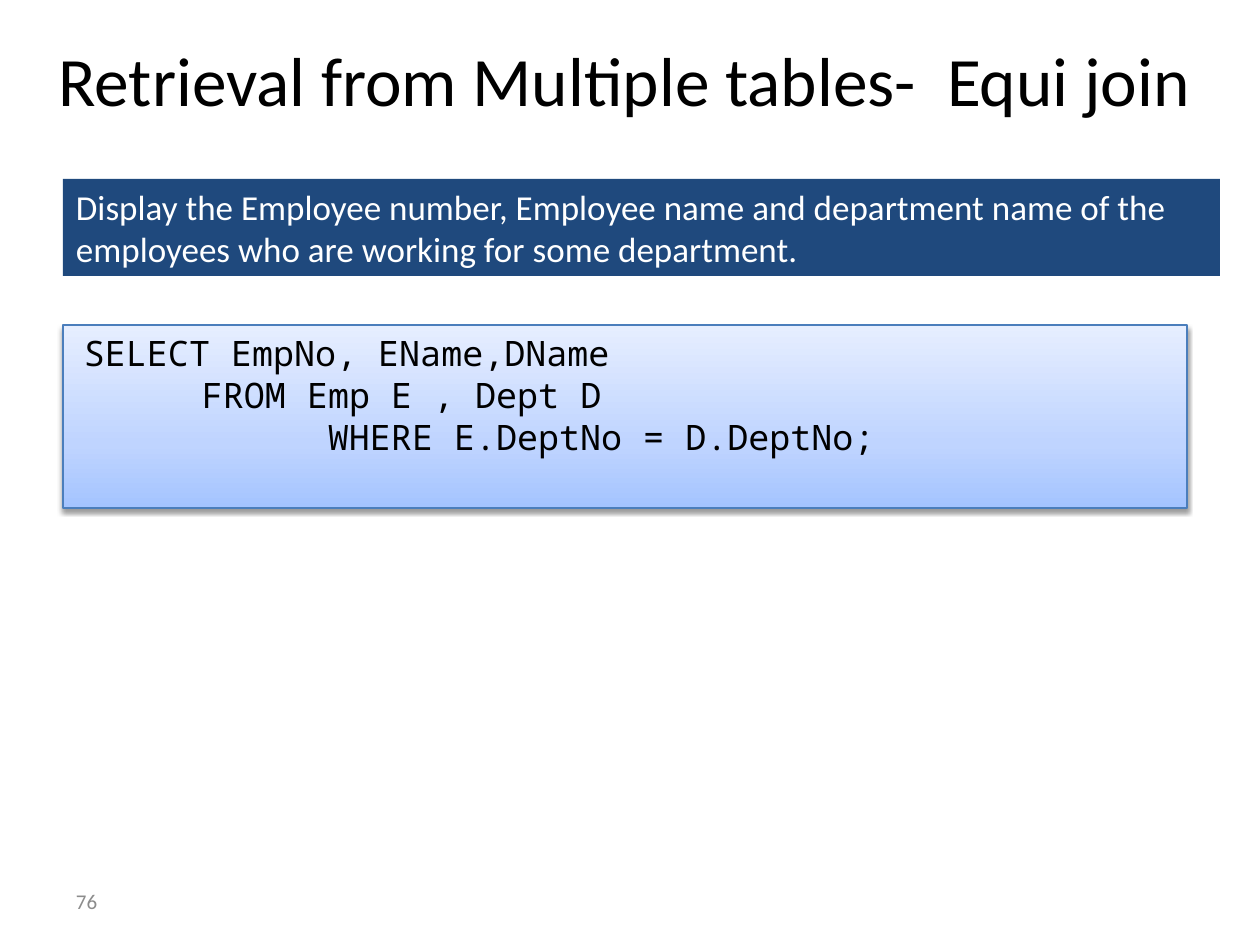
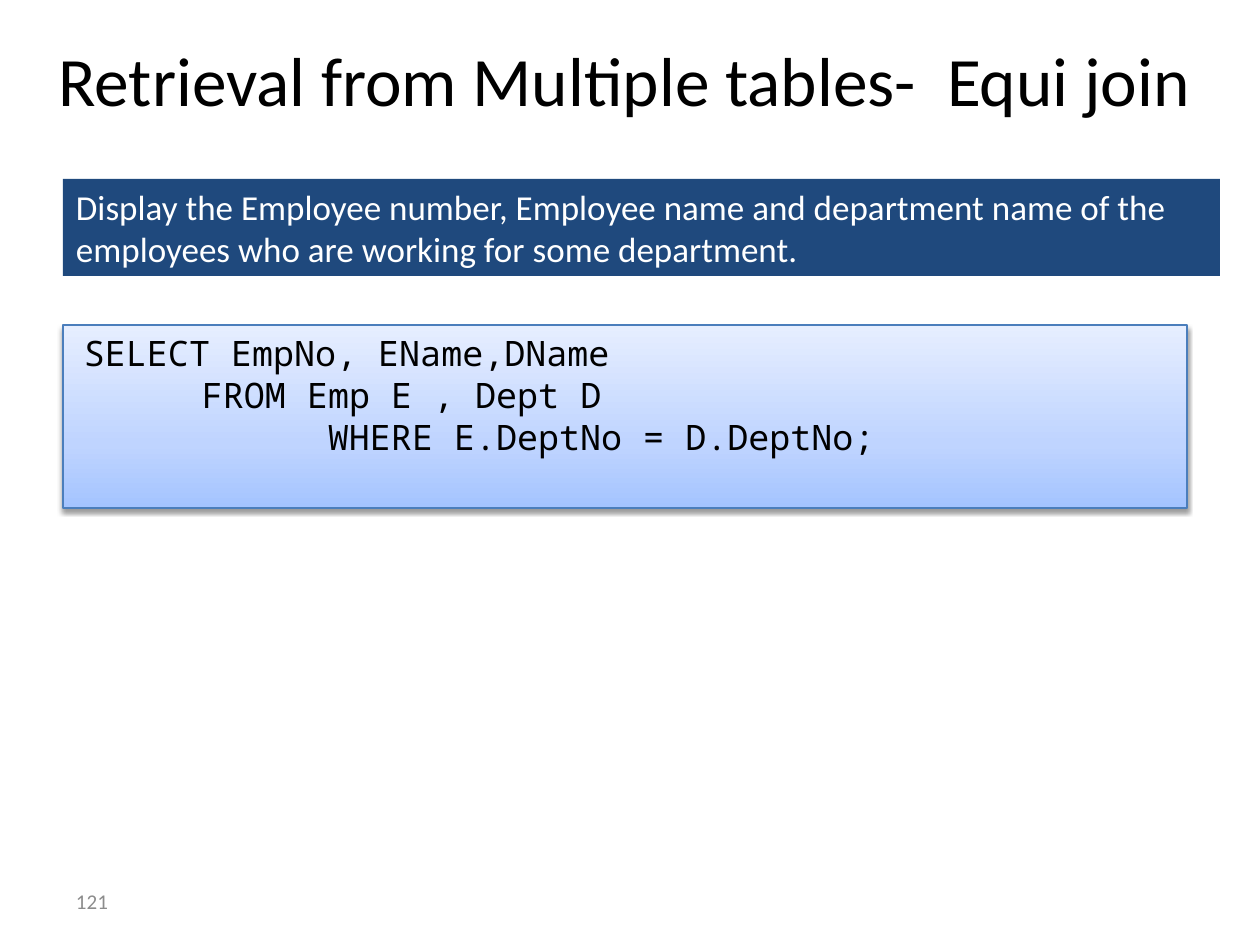
from lxml import etree
from pptx import Presentation
from pptx.dml.color import RGBColor
from pptx.enum.shapes import MSO_SHAPE
from pptx.enum.text import MSO_ANCHOR, PP_ALIGN
from pptx.oxml import parse_xml
from pptx.oxml.ns import nsdecls, qn
from pptx.util import Pt

RECTANGLE = MSO_SHAPE.RECTANGLE
TOP, MIDDLE = MSO_ANCHOR.TOP, MSO_ANCHOR.MIDDLE
LEFT, CENTER = PP_ALIGN.LEFT, PP_ALIGN.CENTER

# Style
BLACK = RGBColor(0x00, 0x00, 0x00)
WHITE = RGBColor(0xFF, 0xFF, 0xFF)
GREY = RGBColor(0x8C, 0x8C, 0x8C)
NAVY = RGBColor(0x1F, 0x49, 0x7D)
BORDER_BLUE = RGBColor(0x4B, 0x7E, 0xBC)
CODE_GRADIENT = [
    (0, RGBColor(0xA4, 0xC4, 0xFF)),
    (35, RGBColor(0xBF, 0xD4, 0xFF)),
    (100, RGBColor(0xE6, 0xEE, 0xFF)),
]
BODY_FONT = "Calibri"
CODE_FONT = "Noto Sans Mono"

# Content
TITLE = "Retrieval from Multiple tables-  Equi join"
QUESTION = (
    "Display the Employee number, Employee name and department name "
    "of the employees who are working for some department."
)
# Each line of the query with its indent in px
QUERY = [
    (8, "SELECT EmpNo, EName,DName"),
    (126, "FROM Emp E , Dept D"),
    (252, "WHERE E.DeptNo = D.DeptNo;"),
]
PAGE_NUMBERS = [76, 121]


def px(length):
    """Turn px (126 to the inch) into EMU."""
    return round(length * 914400 / 126)


class Deck:
    def __init__(self):
        self.presentation = Presentation()
        self.presentation.slide_width = px(1260)
        self.presentation.slide_height = px(945)
        self.slide = None

    def add_slide(self):
        blank = self.presentation.slide_layouts[6]
        self.slide = self.presentation.slides.add_slide(blank)

    def set_text(self, shape, text, size, color, font=BODY_FONT,
                 align=LEFT, anchor=TOP, margins=(13, 6, 13, 6)):
        frame = shape.text_frame
        frame.word_wrap = True
        frame.vertical_anchor = anchor
        (frame.margin_left, frame.margin_top,
         frame.margin_right, frame.margin_bottom) = map(px, margins)
        frame.text = text
        for paragraph in frame.paragraphs:
            paragraph.alignment = align
            for run in paragraph.runs:
                run.font.name = font
                run.font.size = Pt(size)
                run.font.color.rgb = color

    def text_box(self, box, text, size, color, **options):
        shape = self.slide.shapes.add_textbox(*map(px, box))
        self.set_text(shape, text, size, color, **options)

    def rectangle(self, box):
        shape = self.slide.shapes.add_shape(RECTANGLE, *map(px, box))
        shape.shadow.inherit = False
        return shape

    def title(self, text):
        self.text_box((32, 42, 1182, 73), text, 39.6, BLACK,
                      align=CENTER, anchor=MIDDLE, margins=(16, 6, 13, 6))

    def question_band(self, text):
        band = self.rectangle((63, 179, 1157, 97))
        band.fill.solid()
        band.fill.fore_color.rgb = NAVY
        band.line.fill.background()
        self.set_text(band, text, 20, WHITE)

    def code_panel(self, lines):
        panel = self.rectangle((63, 325, 1124, 183))
        panel.line.color.rgb = BORDER_BLUE
        panel.line.width = Pt(0.75)
        self.gradient(panel, CODE_GRADIENT)
        self.drop_shadow(panel)
        text = "\n".join(line for _, line in lines)
        self.set_text(panel, text, 20, BLACK, font=CODE_FONT)
        for paragraph, (indent, _) in zip(panel.text_frame.paragraphs, lines):
            properties = paragraph._p.get_or_add_pPr()
            properties.set("marL", str(px(indent)))
            properties.set("indent", "0")

    def gradient(self, shape, stops):
        """Fill from bottom to top with any number of stops."""
        shape.fill.gradient()
        shape.fill.gradient_angle = 90
        stop_list = shape._element.spPr.find(qn("a:gradFill")).find(qn("a:gsLst"))
        for stop in list(stop_list):
            stop_list.remove(stop)
        for position, color in stops:
            stop_list.append(parse_xml(
                f'<a:gs {nsdecls("a")} pos="{position * 1000}">'
                f'<a:srgbClr val="{color}"/></a:gs>'))

    def drop_shadow(self, shape):
        effects = shape._element.spPr.find(qn("a:effectLst"))
        shadow = etree.SubElement(
            effects, qn("a:outerShdw"), blurRad=str(Pt(3.1)),
            dist=str(Pt(1.6)), dir="5400000", rotWithShape="0")
        color = etree.SubElement(shadow, qn("a:srgbClr"), val=str(BLACK))
        etree.SubElement(color, qn("a:alpha"), val="38000")

    def page_number(self, number):
        self.text_box((63, 876, 294, 50), str(number), 12, GREY, anchor=MIDDLE)


def main():
    deck = Deck()
    for number in PAGE_NUMBERS:
        deck.add_slide()
        deck.page_number(number)
        deck.question_band(QUESTION)
        deck.code_panel(QUERY)
        deck.title(TITLE)
    deck.presentation.save("out.pptx")


if __name__ == "__main__":
    main()
